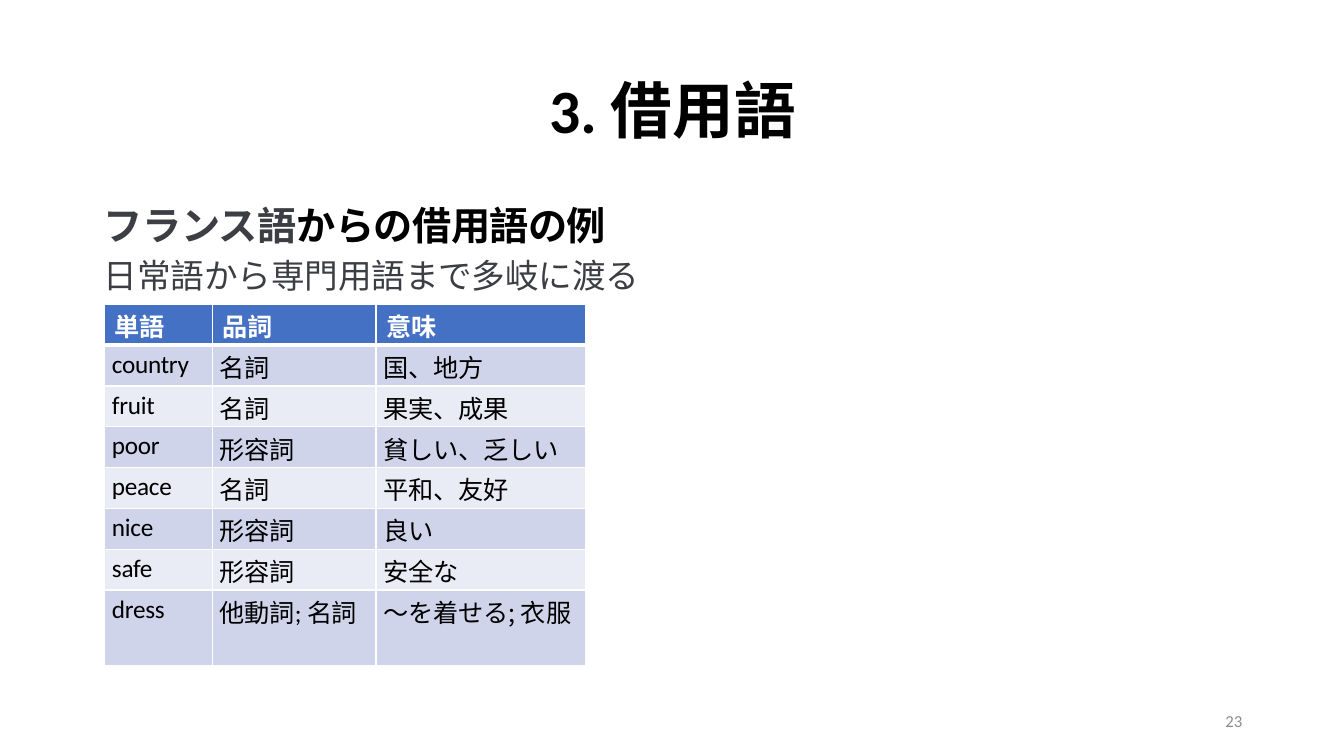
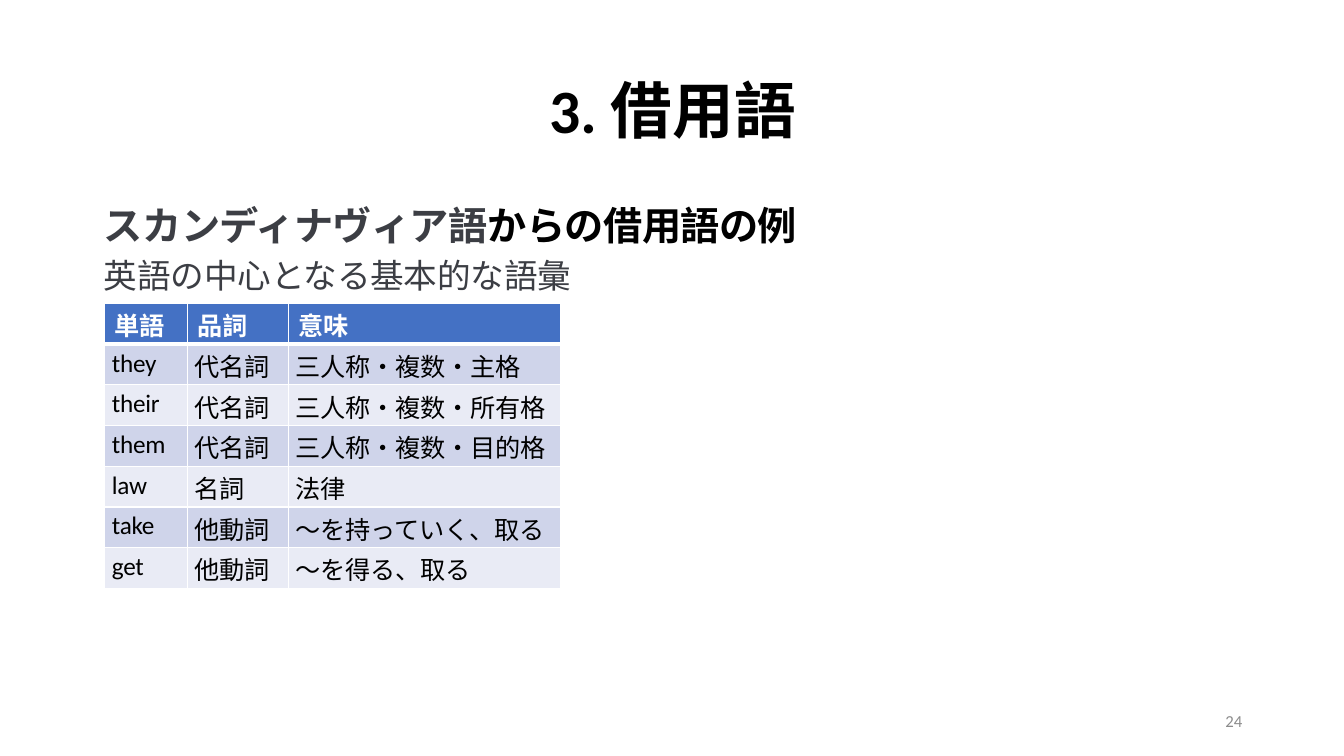
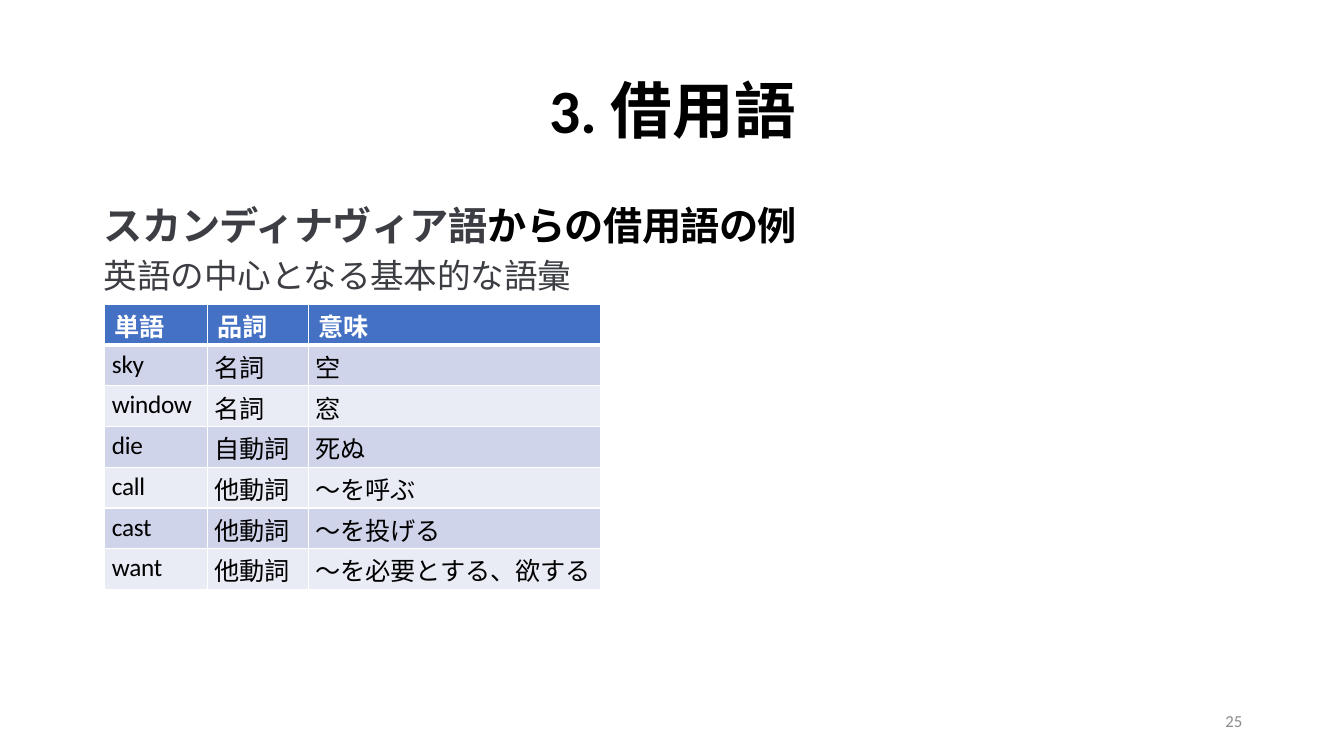
from dataclasses import dataclass

from lxml import etree
from pptx import Presentation
from pptx.dml.color import RGBColor
from pptx.enum.text import MSO_ANCHOR, MSO_AUTO_SIZE, PP_ALIGN
from pptx.oxml.ns import qn
from pptx.util import Inches, Pt

CENTER, RIGHT = PP_ALIGN.CENTER, PP_ALIGN.RIGHT
TOP, MIDDLE = MSO_ANCHOR.TOP, MSO_ANCHOR.MIDDLE
NO_AUTOFIT = MSO_AUTO_SIZE.NONE
TITLE_AND_CONTENT = 1


@dataclass(frozen=True)
class Theme:
    latin: str = "Calibri"
    japanese: str = "Noto Sans CJK JP"
    black: str = "000000"
    white: str = "FFFFFF"
    slate: str = "3C3E44"
    grey: str = "8C8C8C"
    header: str = "4471C4"
    bands: tuple = ("CFD4EA", "E9EBF5")
    title_size: int = 44
    heading_size: int = 28
    lead_size: int = 24
    cell_size: int = 18
    number_size: int = 12
    thin: int = 1
    thick: int = 3


class Lesson:
    """Holds the style and the current slide."""

    def __init__(self, theme):
        self.theme = theme
        self.deck = Presentation()
        self.deck.slide_width = Inches(13.33)
        self.deck.slide_height = Inches(7.5)
        self.page = None

    def new_page(self):
        layout = self.deck.slide_layouts[TITLE_AND_CONTENT]
        self.page = self.deck.slides.add_slide(layout)

    def place(self, box, left, top, width, height, anchor):
        box.left, box.top = Inches(left), Inches(top)
        box.width, box.height = Inches(width), Inches(height)
        frame = box.text_frame
        frame.word_wrap = True
        frame.auto_size = NO_AUTOFIT
        frame.vertical_anchor = anchor
        return frame

    def span(self, para, text, size, color, bold=False, spacing=0):
        """Add one run; plain ASCII text takes the Latin font."""
        run = para.add_run()
        run.text = text
        font = run.font
        font.size, font.bold = Pt(size), bold
        font.color.rgb = RGBColor.from_string(color)
        font.name = self.theme.latin if text.isascii() else self.theme.japanese
        properties = font._element
        etree.SubElement(properties, qn("a:ea")).set("typeface", font.name)
        if spacing:
            properties.set("spc", str(round(spacing * 100)))

    def indent(self, para, left):
        properties = para._p.get_or_add_pPr()
        properties.set("marL", str(Inches(left)))
        properties.set("indent", "0")
        return properties

    def title(self, *texts):
        frame = self.place(self.page.shapes.title, 0.92, 0.4, 11.5, 1.45, MIDDLE)
        para = frame.paragraphs[0]
        para.alignment, para.line_spacing = CENTER, 0.9
        for text in texts:
            self.span(para, text, self.theme.title_size, self.theme.black, True)

    def body(self, language, lead):
        theme = self.theme
        frame = self.place(self.page.placeholders[1], 0.92, 2, 11.5, 4.76, TOP)
        heading, summary = frame.paragraphs[0], frame.add_paragraph()
        for para, space in ((heading, 0), (summary, 7.4)):
            para.line_spacing = 0.9
            para.space_before = Pt(space)
            etree.SubElement(self.indent(para, 0.01), qn("a:buNone"))
        for text, color in ((language, theme.slate), ("からの借用語の例", theme.black)):
            self.span(heading, text, theme.heading_size, color, True, -0.4)
        self.span(summary, lead, theme.lead_size, theme.slate, spacing=-0.1)

    def page_number(self, number):
        box = self.page.shapes.add_textbox(0, 0, 0, 0)
        para = self.place(box, 9.42, 6.95, 3, 0.4, MIDDLE).paragraphs[0]
        para.alignment = RIGHT
        self.span(para, str(number), self.theme.number_size, self.theme.grey)

    def border(self, cell, side, width):
        line = etree.SubElement(cell._tc.get_or_add_tcPr(), qn("a:ln" + side))
        line.set("w", str(Pt(width)))
        fill = etree.SubElement(line, qn("a:solidFill"))
        etree.SubElement(fill, qn("a:srgbClr")).set("val", self.theme.white)

    def cell(self, cell, texts, row, column):
        theme = self.theme
        is_header = row == 0
        for side in "LRTB":
            heavy = (row, side) in ((0, "B"), (1, "T"))
            self.border(cell, side, theme.thick if heavy else theme.thin)
        cell.fill.solid()
        color = theme.header if is_header else theme.bands[(row - 1) % 2]
        cell.fill.fore_color.rgb = RGBColor.from_string(color)
        cell.margin_left = cell.margin_right = cell.margin_bottom = 0
        cell.margin_top = Inches(0.03 if is_header or column else 0.04)
        para = cell.text_frame.paragraphs[0]
        self.indent(para, 0.1 if is_header else 0.07)
        spacing = -0.1 if column == 2 and not is_header else -0.2
        for text in texts:
            self.span(para, text, theme.cell_size,
                      theme.white if is_header else theme.black,
                      is_header, spacing)

    def word_table(self, top, height, widths, words):
        rows = [("単語", "品詞", "意味"), *words]
        table = self.page.shapes.add_table(
            len(rows), len(widths), Inches(1.04), Inches(top),
            Inches(sum(widths)), Inches(height)).table
        table.horz_banding = False
        for column, width in zip(table.columns, widths):
            column.width = Inches(width)
        for r, entries in enumerate(rows):
            table.rows[r].height = Inches(height / len(rows))
            for c, entry in enumerate(entries):
                texts = (entry,) if isinstance(entry, str) else entry
                self.cell(table.cell(r, c), texts, r, c)


# Content: language, lead, table top, table height, column widths, words
FRENCH = ("フランス語", "日常語から専門用語まで多岐に渡る")
SCANDINAVIAN = ("スカンディナヴィア語", "英語の中心となる基本的な語彙")
PAGES = [
    (FRENCH, 3.02, 3.24, (1.07, 1.62, 2.08), [
        ("country", "名詞", "国、地方"),
        ("fruit", "名詞", "果実、成果"),
        ("poor", "形容詞", "貧しい、乏しい"),
        ("peace", "名詞", "平和、友好"),
        ("nice", "形容詞", "良い"),
        ("safe", "形容詞", "安全な"),
        ("dress", ("他動詞", "; ", "名詞"), "～を着せる; 衣服"),
    ]),
    (SCANDINAVIAN, 3.01, 2.83, (0.82, 1, 2.7), [
        ("they", "代名詞", "三人称・複数・主格"),
        ("their", "代名詞", "三人称・複数・所有格"),
        ("them", "代名詞", "三人称・複数・目的格"),
        ("law", "名詞", "法律"),
        ("take", "他動詞", "～を持っていく、取る"),
        ("get", "他動詞", "～を得る、取る"),
    ]),
    (SCANDINAVIAN, 3.02, 2.83, (1.02, 1, 2.9), [
        ("sky", "名詞", "空"),
        ("window", "名詞", "窓"),
        ("die", "自動詞", "死ぬ"),
        ("call", "他動詞", "～を呼ぶ"),
        ("cast", "他動詞", "～を投げる"),
        ("want", "他動詞", "～を必要とする、欲する"),
    ]),
]


def main():
    lesson = Lesson(Theme())
    for number, (source, top, height, widths, words) in enumerate(PAGES, 23):
        lesson.new_page()
        lesson.title("3. ", "借用語")
        lesson.page_number(number)
        lesson.body(*source)
        lesson.word_table(top, height, widths, words)
    lesson.deck.save("out.pptx")


if __name__ == "__main__":
    main()
